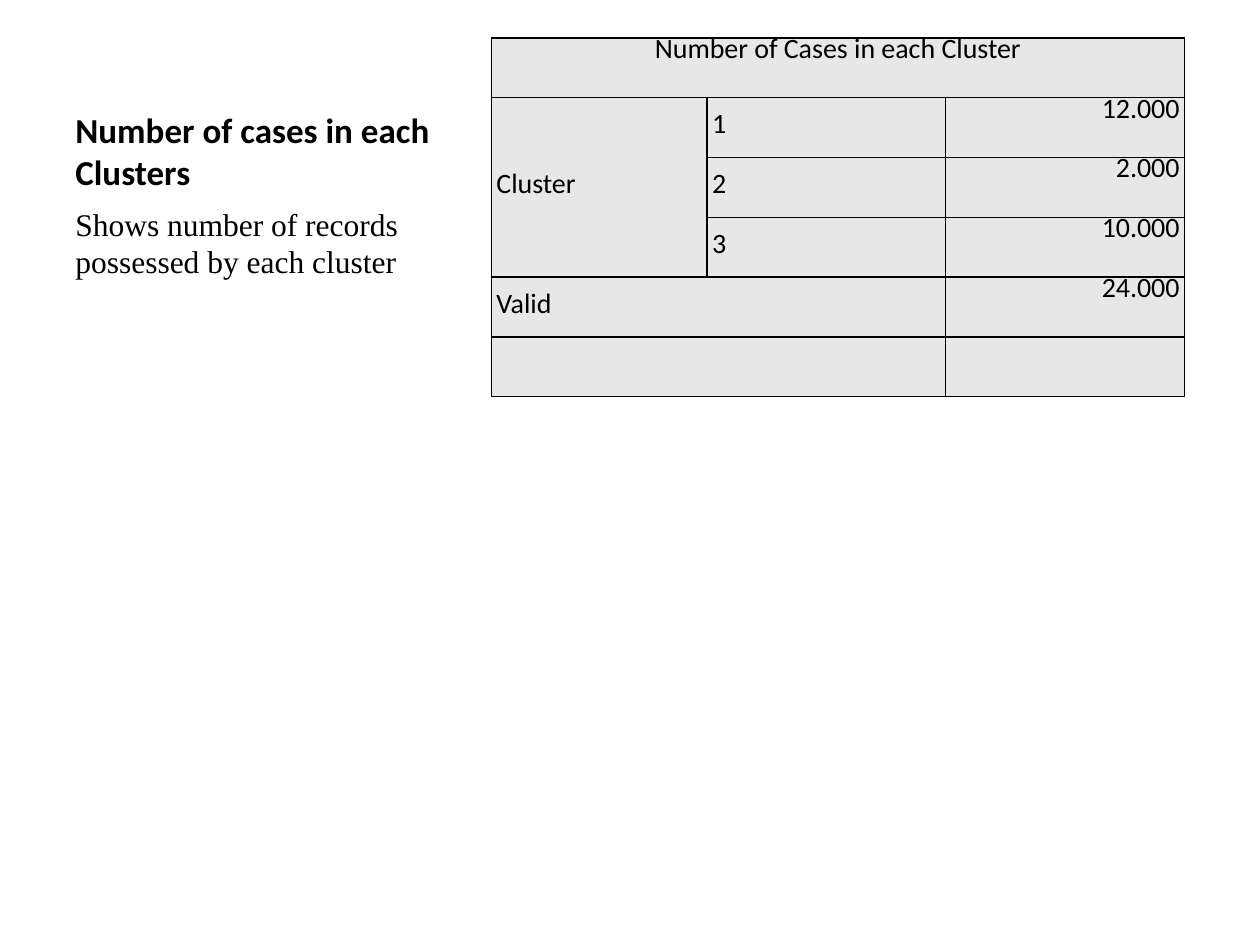
from dataclasses import dataclass

from lxml import etree
from pptx import Presentation
from pptx import util as u
from pptx.dml.color import RGBColor
from pptx.enum import text
from pptx.oxml import ns


@dataclass(frozen=True)
class Theme:
    """Colours, fonts and type sizes of the deck."""
    ink: str = "000000"
    cell: str = "E7E7E7"
    heading: str = "Calibri"
    body: str = "Times New Roman"
    title_size: int = 20
    body_size: int = 18
    table_size: int = 16
    border: int = 1


class Page:
    """Draws styled elements on one slide, placed by shares of its size."""

    def __init__(self, deck, theme):
        """Add a blank slide to the deck."""
        self.deck, self.theme = deck, theme
        self.shapes = deck.slides.add_slide(deck.slide_layouts[6]).shapes

    def place(self, left, top, width, height):
        """Turn shares of the slide into lengths."""
        wide, high = self.deck.slide_width, self.deck.slide_height
        return [round(share * side) for share, side in
                zip((left, top, width, height), (wide, high, wide, high))]

    def fill_text(self, frame, words, layout, font):
        """Put one styled paragraph into a text frame."""
        para = frame.paragraphs[0]
        span = para.add_run()
        span.text = words
        span.font.color.rgb = RGBColor.from_string(self.theme.ink)
        for target, values in ((para, layout), (span.font, font)):
            for name, value in values.items():
                setattr(target, name, value)

    def text(self, area, words, anchor, layout, font):
        """Add a wrapping text box."""
        frame = self.shapes.add_textbox(*self.place(*area)).text_frame
        frame.word_wrap = True
        frame.vertical_anchor = anchor
        self.fill_text(frame, words, layout, font)

    def outline(self, cell):
        """Draw all four borders of a cell."""
        properties = cell._tc.get_or_add_tcPr()
        for index, side in enumerate(("lnL", "lnR", "lnT", "lnB")):
            line = etree.Element(ns.qn(f"a:{side}"), w=str(u.Pt(self.theme.border)))
            fill = etree.SubElement(line, ns.qn("a:solidFill"))
            etree.SubElement(fill, ns.qn("a:srgbClr"), val=self.theme.ink)
            properties.insert(index, line)

    def table(self, area, widths, rows, merges):
        """Add a bordered table with relative column widths."""
        theme = self.theme
        frame = self.shapes.add_table(len(rows), len(widths), *self.place(*area))
        grid = frame.table
        for column, width in zip(grid.columns, widths):
            column.width = round(frame.width * width / sum(widths))
        for first, last in merges:
            grid.cell(*first).merge(grid.cell(*last))
        font = {"name": theme.heading, "size": u.Pt(theme.table_size)}
        center, right, left = (text.PP_ALIGN.CENTER, text.PP_ALIGN.RIGHT,
                               text.PP_ALIGN.LEFT)
        style = {"margin_left": u.Inches(0.04), "margin_right": u.Inches(0.04),
                 "margin_top": 0, "margin_bottom": 0}
        for r, row in enumerate(rows):
            for c, words in enumerate(row):
                cell = grid.cell(r, c)
                align = center if r == 0 else right if c == len(row) - 1 else left
                for name, value in style.items():
                    setattr(cell, name, value)
                cell.vertical_anchor = (text.MSO_ANCHOR.MIDDLE if align == left
                                        else text.MSO_ANCHOR.TOP)
                cell.fill.solid()
                cell.fill.fore_color.rgb = RGBColor.from_string(theme.cell)
                self.outline(cell)
                if words:
                    layout = {"alignment": align,
                              "line_spacing": u.Pt(theme.table_size)}
                    self.fill_text(cell.text_frame, words, layout, font)


def main():
    """Build the cluster size slide."""
    deck = Presentation()
    deck.slide_width, deck.slide_height = u.Inches(10), u.Inches(7.5)
    theme = Theme()
    page = Page(deck, theme)
    margin, top, split, side = 0.05, 0.04, 0.21, 0.33
    page.text((margin, top, side, split - top), "Number of cases in each Clusters",
              text.MSO_ANCHOR.BOTTOM, {},
              {"name": theme.heading, "size": u.Pt(theme.title_size), "bold": True})
    page.table((0.39, top, 0.56, 0.38), (1.71, 1.94, 1.94),
               [("Number of Cases in each Cluster", "", ""),
                ("Cluster", "1", "12.000"),
                ("", "2", "2.000"),
                ("", "3", "10.000"),
                ("Valid", "", "24.000"),
                ("", "", "")],
               [((0, 0), (0, 2)), ((1, 0), (3, 0)),
                ((4, 0), (4, 1)), ((5, 0), (5, 1))])
    page.text((margin, split, side, 0.68),
              "Shows number of records possessed by each cluster",
              text.MSO_ANCHOR.TOP, {"space_before": u.Pt(0.2 * theme.body_size)},
              {"name": theme.body, "size": u.Pt(theme.body_size)})
    deck.save("out.pptx")


main()
